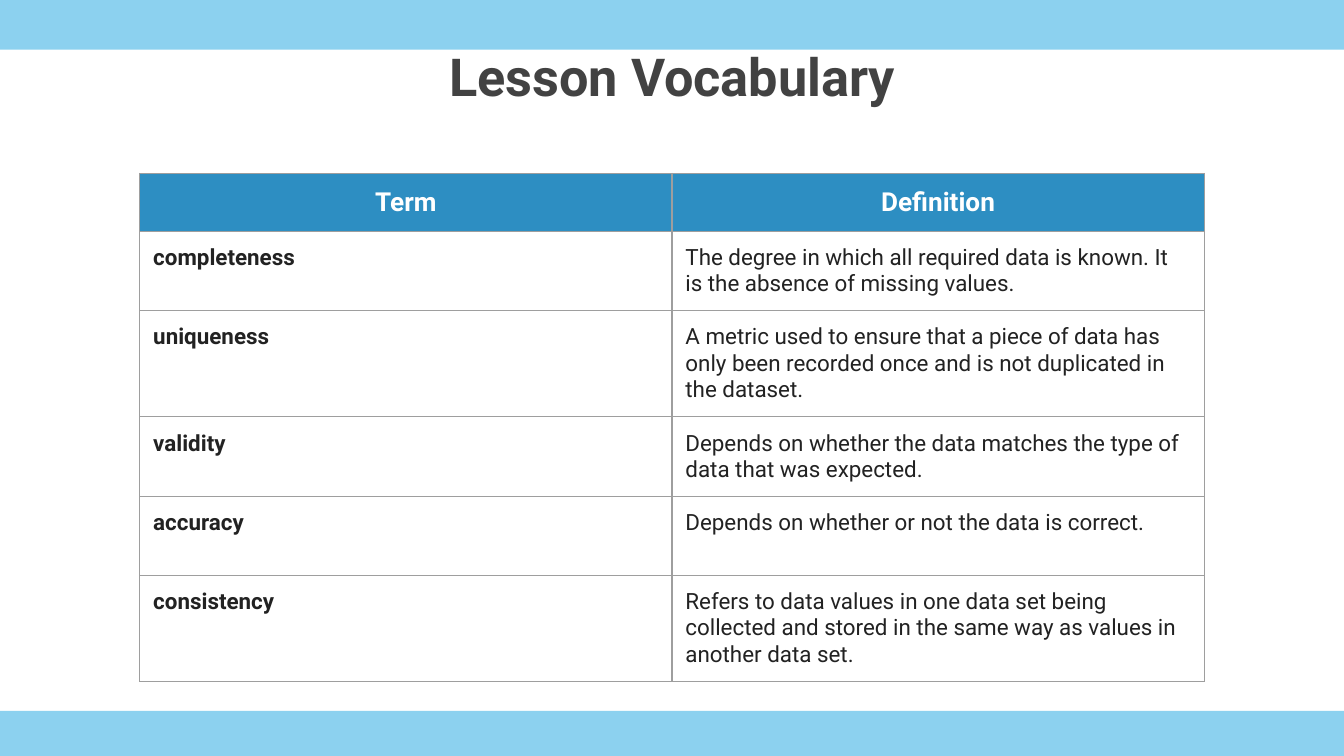
import pptx
import pptx.dml.color
import pptx.enum.shapes
import pptx.enum.text
import pptx.oxml
import pptx.oxml.ns
import pptx.util
import lxml.etree

Inches = pptx.util.Inches
Pt = pptx.util.Pt
RGBColor = pptx.dml.color.RGBColor
Align = pptx.enum.text.PP_ALIGN
Anchor = pptx.enum.text.MSO_ANCHOR

BAND_BLUE = RGBColor(0x27, 0xA9, 0xE1)
HEADER_BLUE = RGBColor(0x2D, 0x8E, 0xC2)
BORDER_GREY = RGBColor(0x9E, 0x9E, 0x9E)
TITLE_GREY = RGBColor(0x42, 0x42, 0x42)
TEXT_BLACK = RGBColor(0x22, 0x22, 0x22)
WHITE = RGBColor(0xFF, 0xFF, 0xFF)
FONT = "Roboto"
PAGE_WIDTH = 10
PAGE_HEIGHT = PAGE_WIDTH * 9 / 16
BAND_HEIGHT = 0.37

HEADINGS = ("Term", "Definition")
HEADER_HEIGHT = 0.43
VOCABULARY = [
    ("completeness", "The degree in which all required data is known. "
     "It is the absence of missing values.", 0.59),
    ("uniqueness", "A metric used to ensure that a piece of data has only been "
     "recorded once and is not duplicated in the dataset.", 0.79),
    ("validity", "Depends on whether the data matches the type of data "
     "that was expected.", 0.59),
    ("accuracy", "Depends on whether or not the data is correct.", 0.59),
    ("consistency", "Refers to data values in one data set being collected and "
     "stored in the same way as values in another data set.", 0.79),
]


def style_paragraph(para, size, color, bold, align):
    """Set the font and alignment of a paragraph."""
    para.alignment = align
    para.font.name = FONT
    para.font.size = Pt(size)
    para.font.bold = bold
    para.font.color.rgb = color


def set_margins(target):
    """Give a text frame or cell equal margins on all sides."""
    for side in ("left", "top", "right", "bottom"):
        setattr(target, f"margin_{side}", Inches(0.1))


def add_band(page, left, top, width, height):
    """Draw a translucent blue band."""
    band = page.shapes.add_shape(
        pptx.enum.shapes.MSO_SHAPE.RECTANGLE,
        Inches(left), Inches(top), Inches(width), Inches(height))
    band.shadow.inherit = False
    band.line.fill.background()
    band.fill.solid()
    band.fill.fore_color.rgb = BAND_BLUE
    color = band.fill._xPr.find(".//" + pptx.oxml.ns.qn("a:srgbClr"))
    lxml.etree.SubElement(color, pptx.oxml.ns.qn("a:alpha"), val="53000")


def place_title(page, left, top, width, height):
    """Move and format the title placeholder."""
    title = page.shapes.title
    title.left, title.top = Inches(left), Inches(top)
    title.width, title.height = Inches(width), Inches(height)
    frame = title.text_frame
    frame.text = "Lesson Vocabulary"
    frame.word_wrap = True
    frame.auto_size = pptx.enum.text.MSO_AUTO_SIZE.NONE
    frame.vertical_anchor = Anchor.TOP
    set_margins(frame)
    style_paragraph(frame.paragraphs[0], 28, TITLE_GREY, True, Align.CENTER)


def set_borders(cell):
    """Outline all four sides of a cell in grey."""
    properties = cell._tc.get_or_add_tcPr()
    for index, side in enumerate(("lnL", "lnR", "lnT", "lnB")):
        properties.insert(index, pptx.oxml.parse_xml(
            f'<a:{side} {pptx.oxml.ns.nsdecls("a")} w="{Pt(0.75)}">'
            f'<a:solidFill><a:srgbClr val="{BORDER_GREY}"/></a:solidFill>'
            f'</a:{side}>'))


def fill_cell(cell, text, is_header, bold):
    """Write and format one table cell."""
    cell.text = text
    set_margins(cell)
    cell.vertical_anchor = Anchor.TOP
    para = cell.text_frame.paragraphs[0]
    if is_header:
        cell.fill.solid()
        cell.fill.fore_color.rgb = HEADER_BLUE
        style_paragraph(para, 14, WHITE, bold, Align.CENTER)
    else:
        cell.fill.background()
        style_paragraph(para, 12, TEXT_BLACK, bold, Align.LEFT)
    set_borders(cell)


def add_vocabulary_table(page, left, top, width):
    """Add the table of terms and definitions in two equal columns."""
    rows = [(*HEADINGS, HEADER_HEIGHT), *VOCABULARY]
    height = sum(row[-1] for row in rows)
    table = page.shapes.add_table(
        len(rows), len(HEADINGS),
        Inches(left), Inches(top), Inches(width), Inches(height)).table
    table.first_row = False
    table.horz_banding = False
    for index, (term, definition, row_height) in enumerate(rows):
        is_header = index == 0
        table.rows[index].height = Inches(row_height)
        fill_cell(table.cell(index, 0), term, is_header, True)
        fill_cell(table.cell(index, 1), definition, is_header, is_header)


def main():
    """Build and save the vocabulary slide."""
    deck = pptx.Presentation()
    deck.slide_width = Inches(PAGE_WIDTH)
    deck.slide_height = Inches(PAGE_HEIGHT)
    page = deck.slides.add_slide(deck.slide_layouts[5])
    page.background.fill.solid()
    page.background.fill.fore_color.rgb = WHITE
    for top in (0, 5.29):
        add_band(page, 0, top, PAGE_WIDTH, BAND_HEIGHT)
    place_title(page, 0.5, 0.23, 9, 0.94)
    add_vocabulary_table(page, 1.04, 1.29, 7.92)
    deck.save("out.pptx")


if __name__ == "__main__":
    main()
